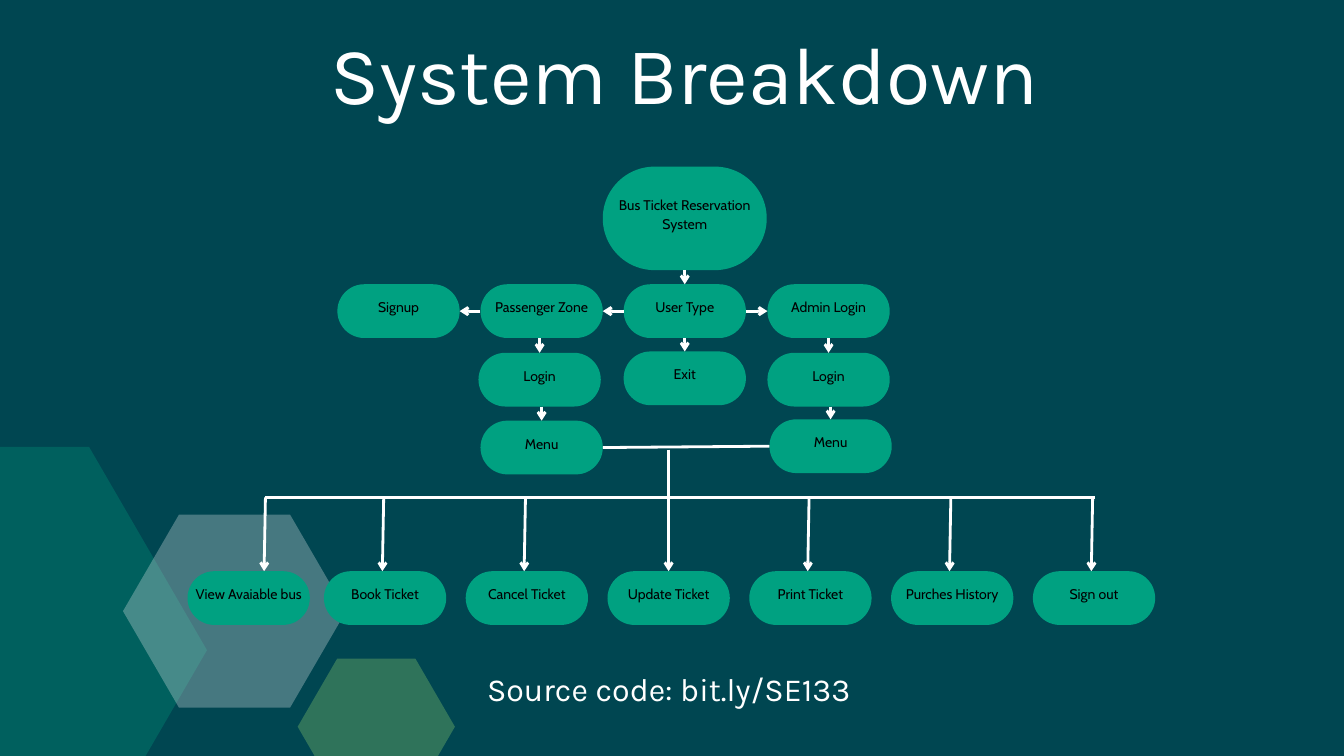
from lxml import etree
from pptx import Presentation
from pptx.dml.color import RGBColor
from pptx.enum.shapes import MSO_CONNECTOR, MSO_SHAPE
from pptx.enum.text import MSO_ANCHOR, PP_ALIGN
from pptx.oxml.ns import qn
from pptx.util import Inches, Pt

HEXAGON = MSO_SHAPE.HEXAGON
ROUNDED = MSO_SHAPE.ROUNDED_RECTANGLE
STRAIGHT = MSO_CONNECTOR.STRAIGHT
CENTER = PP_ALIGN.CENTER
MIDDLE = MSO_ANCHOR.MIDDLE
TOP, LEFT, BOTTOM, RIGHT = range(4)

COLORS = {
    "ground": "004651",
    "green": "00A181",
    "mist": "F4F4F4",
    "lime": "A4E473",
    "white": "FFFFFF",
    "black": "000000",
}
PILL_WIDTH, PILL_HEIGHT = Inches(1.82), Inches(0.8)


def color(name):
    return RGBColor.from_string(COLORS[name])


def write(frame, text, font, size, ink, spacing):
    para = frame.paragraphs[0]
    para.text = text
    para.alignment = CENTER
    para.line_spacing = Pt(spacing)
    para.font.name = font
    para.font.size = Pt(size)
    para.font.color.rgb = color(ink)


def add_filled(page, kind, left, top, width, height, fill):
    shape = page.shapes.add_shape(kind, left, top, width, height)
    shape.shadow.inherit = False
    shape.fill.solid()
    shape.fill.fore_color.rgb = color(fill)
    shape.line.fill.background()
    return shape


def add_hexagon(page, box, fill):
    hexagon = add_filled(page, HEXAGON, *box, fill)
    hexagon.adjustments[0] = 0.29
    tint = hexagon.fill._xPr.find(qn("a:solidFill"))[0]
    etree.SubElement(tint, qn("a:alpha")).set("val", "29000")


def add_pill(page, text, left, top, width=PILL_WIDTH, height=PILL_HEIGHT, wrap=False):
    pill = add_filled(page, ROUNDED, left, top, width, height, "green")
    pill.adjustments[0] = 0.5
    frame = pill.text_frame
    frame.word_wrap = wrap
    frame.vertical_anchor = MIDDLE
    frame.margin_left = frame.margin_right = frame.margin_top = 0
    frame.margin_bottom = Inches(0.16)
    write(frame, text, "Cabin", 15, "black", 21)
    return pill


def add_line(page, start, end, arrow=True):
    line = page.shapes.add_connector(STRAIGHT, *start, *end)
    line.line.color.rgb = color("white")
    line.line.width = Pt(3)
    if arrow:
        etree.SubElement(line.line._get_or_add_ln(), qn("a:tailEnd")).set("type", "arrow")
    etree.SubElement(line._element.spPr, qn("a:effectLst"))
    return line


def side_point(pill, side):
    across, down = {TOP: (1, 0), LEFT: (0, 1), BOTTOM: (1, 2), RIGHT: (2, 1)}[side]
    return pill.left + pill.width * across // 2, pill.top + pill.height * down // 2


def join(page, first, first_side, second, second_side, arrow=True):
    line = add_line(page, side_point(first, first_side), side_point(second, second_side), arrow)
    line.begin_connect(first, first_side)
    line.end_connect(second, second_side)


def drop_to(page, upper, lower):
    x, y = side_point(lower, TOP)
    line = add_line(page, (x, upper.top + upper.height), (x, y))
    line.end_connect(lower, TOP)


def add_heading(page, box, text, size, spacing):
    frame = page.shapes.add_textbox(*box).text_frame
    frame.word_wrap = True
    frame.margin_left = frame.margin_right = frame.margin_top = frame.margin_bottom = 0
    write(frame, text, "Karla", size, "white", spacing)


def add_backdrop(page):
    page.background.fill.solid()
    page.background.fill.fore_color.rgb = color("ground")
    for box, fill in (
        ((-3.9, 6.65, 6.98, 6.05), "green"),
        ((1.83, 7.66, 3.32, 2.87), "mist"),
        ((4.43, 9.8, 2.34, 2.03), "lime"),
    ):
        add_hexagon(page, [Inches(value) for value in box], fill)


def add_user_tree(page, left, top):
    def place(text, x, y):
        return add_pill(page, text, left + Inches(x), top + Inches(y))

    system = add_pill(page, "Bus Ticket Reservation System", left + Inches(3.95), top,
                      Inches(2.44), Inches(1.54), wrap=True)
    signup = place("Signup", 0, 1.75)
    passenger = place("Passenger Zone", 2.13, 1.75)
    user_type = place("User Type", 4.26, 1.75)
    admin = place("Admin Login", 6.4, 1.75)
    passenger_login = place("Login", 2.1, 2.77)
    leave = place("Exit", 4.26, 2.75)
    admin_login = place("Login", 6.4, 2.77)
    passenger_menu = place("Menu", 2.13, 3.78)
    admin_menu = place("Menu", 6.43, 3.76)

    join(page, system, BOTTOM, user_type, TOP)
    join(page, user_type, LEFT, passenger, RIGHT)
    join(page, user_type, RIGHT, admin, LEFT)
    join(page, passenger, LEFT, signup, RIGHT)
    join(page, user_type, BOTTOM, leave, TOP)
    join(page, admin, BOTTOM, admin_login, TOP)
    drop_to(page, passenger, passenger_login)
    drop_to(page, passenger_login, passenger_menu)
    drop_to(page, admin_login, admin_menu)
    join(page, passenger_menu, RIGHT, admin_menu, LEFT, arrow=False)


def add_menu_row(page, left, top):
    bar = top + Inches(0.71)
    row = top + Inches(1.81)
    pitch = Inches(2.11)
    add_line(page, (left + Inches(1.16), bar), (left + Inches(13.51), bar), arrow=False)

    add_pill(page, "View Avaiable bus", left, row)
    add_line(page, (left + Inches(1.16), bar), (left + Inches(1.14), row))

    labels = ("Book Ticket", "Cancel Ticket", "Update Ticket", "Print Ticket",
              "Purches History", "Sign out")
    for index, label in enumerate(labels):
        pill = add_pill(page, label, left + Inches(2.03) + index * pitch, row)
        middle = side_point(pill, TOP)[0]
        if label == "Update Ticket":
            trunk = add_line(page, (middle, top), (middle, row))
            trunk.end_connect(pill, TOP)
        else:
            add_line(page, (middle - Inches(0.02), bar), (middle - Inches(0.04), row))


def main():
    deck = Presentation()
    deck.slide_width = Inches(20)
    deck.slide_height = Inches(11.25)
    page = deck.slides.add_slide(deck.slide_layouts[6])

    add_backdrop(page)
    add_heading(page, (Inches(3.54), Inches(0.1), Inches(13.3), Inches(1.63)),
                "System Breakdown", 86.9, 121.7)
    add_user_tree(page, Inches(5.02), Inches(2.48))
    add_menu_row(page, Inches(2.79), Inches(6.69))
    add_heading(page, (Inches(6.98), Inches(9.86), Inches(5.95), Inches(0.65)),
                "Source code: bit.ly/SE133", 34.4, 48.1)
    deck.save("out.pptx")


if __name__ == "__main__":
    main()
